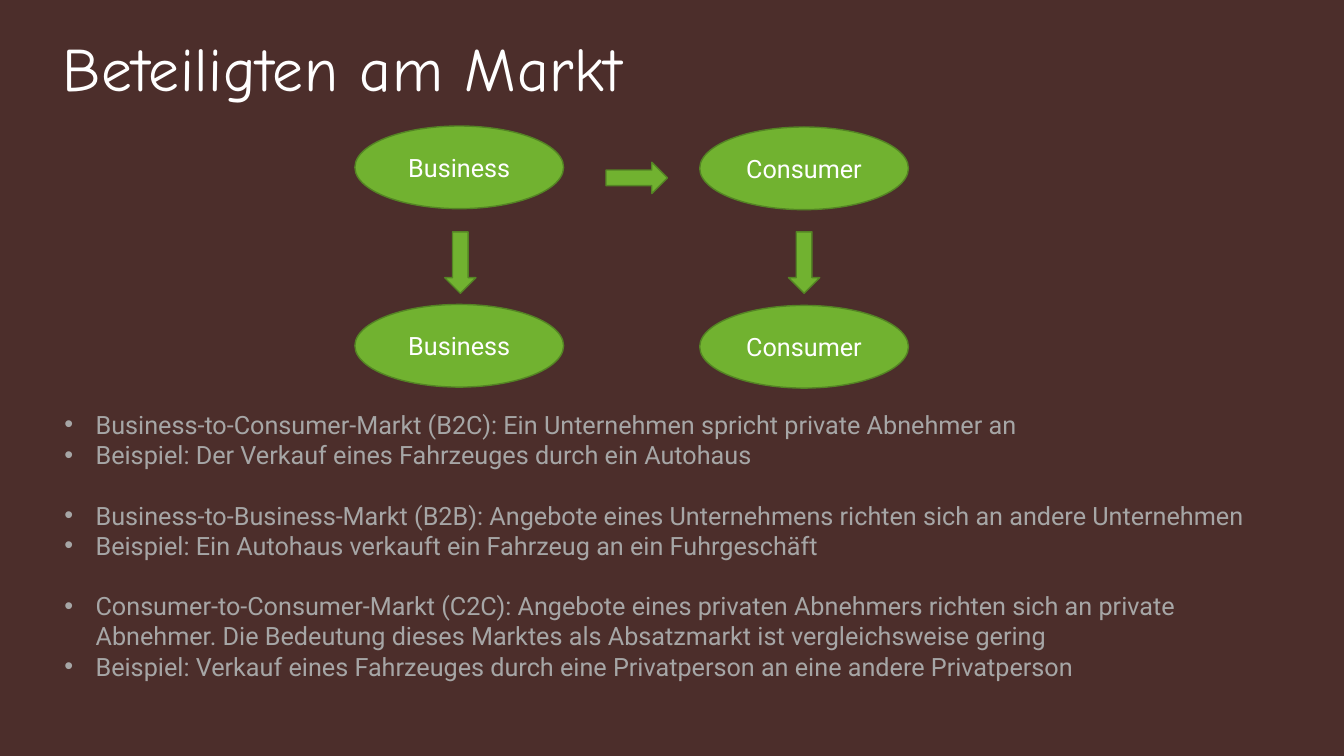
from lxml import etree
from pptx import Presentation
from pptx.dml.color import RGBColor
from pptx.enum.shapes import MSO_SHAPE as Shape
from pptx.enum.text import MSO_ANCHOR as Anchor, PP_ALIGN as Align
from pptx.oxml.ns import qn
from pptx.util import Inches, Pt


def color(value):
    return RGBColor.from_string(value)


def add_green_shape(kind, left, top, width, height):
    shape = slide.shapes.add_shape(
        kind, Inches(left), Inches(top), Inches(width), Inches(height))
    shape.shadow.inherit = False
    shape.fill.solid()
    shape.fill.fore_color.rgb = color("71B230")
    shape.line.color.rgb = color("548424")
    shape.line.width = Pt(1)
    return shape


presentation = Presentation()
presentation.slide_width = Inches(13.33)
presentation.slide_height = Inches(7.5)
slide = presentation.slides.add_slide(presentation.slide_layouts[6])
slide.background.fill.solid()
slide.background.fill.fore_color.rgb = color("4C2E2B")

title = slide.shapes.add_textbox(Inches(0.62), Inches(0.39), Inches(11.73), Inches(0.68))
frame = title.text_frame
frame.word_wrap = True
frame.margin_left = frame.margin_top = frame.margin_right = frame.margin_bottom = 0
paragraph = frame.paragraphs[0]
paragraph.line_spacing = 0.88
run = paragraph.add_run()
run.text = "Beteiligten am Markt"
run.font.name = "Comic Neue"
run.font.size = Pt(44)
run.font.color.rgb = color("FFFFFF")
run._r.get_or_add_rPr().set("spc", "40")

for name, left, first_top in [("Business", 3.52, 1.25), ("Consumer", 6.94, 1.26)]:
    for top in (first_top, first_top + 1.77):
        ellipse = add_green_shape(Shape.OVAL, left, top, 2.07, 0.82)
        ellipse.text_frame.vertical_anchor = Anchor.MIDDLE
        paragraph = ellipse.text_frame.paragraphs[0]
        paragraph.text = name
        paragraph.alignment = Align.CENTER
        paragraph.font.name = "Roboto"
        paragraph.font.size = Pt(18)
        paragraph.font.color.rgb = color("FFFFFF")

for left, top, rotation in [(6.01, 1.61, 0), (4.26, 2.45, 90), (7.67, 2.45, 90)]:
    arrow = add_green_shape(Shape.RIGHT_ARROW, left, top, 0.61, 0.31)
    arrow.rotation = rotation

markets = [
    ("Business-to-Consumer-Markt (B2C): Ein Unternehmen spricht private Abnehmer an",
     "Beispiel: Der Verkauf eines Fahrzeuges durch ein Autohaus"),
    ("Business-to-Business-Markt (B2B): Angebote eines Unternehmens richten sich "
     "an andere Unternehmen",
     "Beispiel: Ein Autohaus verkauft ein Fahrzeug an ein Fuhrgeschäft"),
    ("Consumer-to-Consumer-Markt (C2C): Angebote eines privaten Abnehmers richten sich "
     "an private Abnehmer. Die Bedeutung dieses Marktes als Absatzmarkt ist "
     "vergleichsweise gering",
     "Beispiel: Verkauf eines Fahrzeuges durch eine Privatperson an eine andere "
     "Privatperson"),
]
explanation = slide.shapes.add_textbox(
    Inches(0.54), Inches(4.01), Inches(12.17), Inches(3.13))
frame = explanation.text_frame
frame.word_wrap = True
paragraph = frame.paragraphs[0]
for market_index, lines in enumerate(markets):
    for line_index, line in enumerate(lines):
        if market_index or line_index:
            paragraph = frame.add_paragraph()
        paragraph.text = line
        if market_index and line_index == 0:
            paragraph.space_before = Pt(21.6)
        properties = paragraph._p.get_or_add_pPr()
        properties.set("marL", str(Inches(0.31)))
        properties.set("indent", str(Inches(-0.31)))
        etree.SubElement(properties, qn("a:buFont")).set("typeface", "Arial")
        etree.SubElement(properties, qn("a:buChar")).set("char", "•")
        paragraph.font.name = "Roboto"
        paragraph.font.size = Pt(18)
        paragraph.font.color.rgb = color("A6A6A6")

presentation.save("out.pptx")
